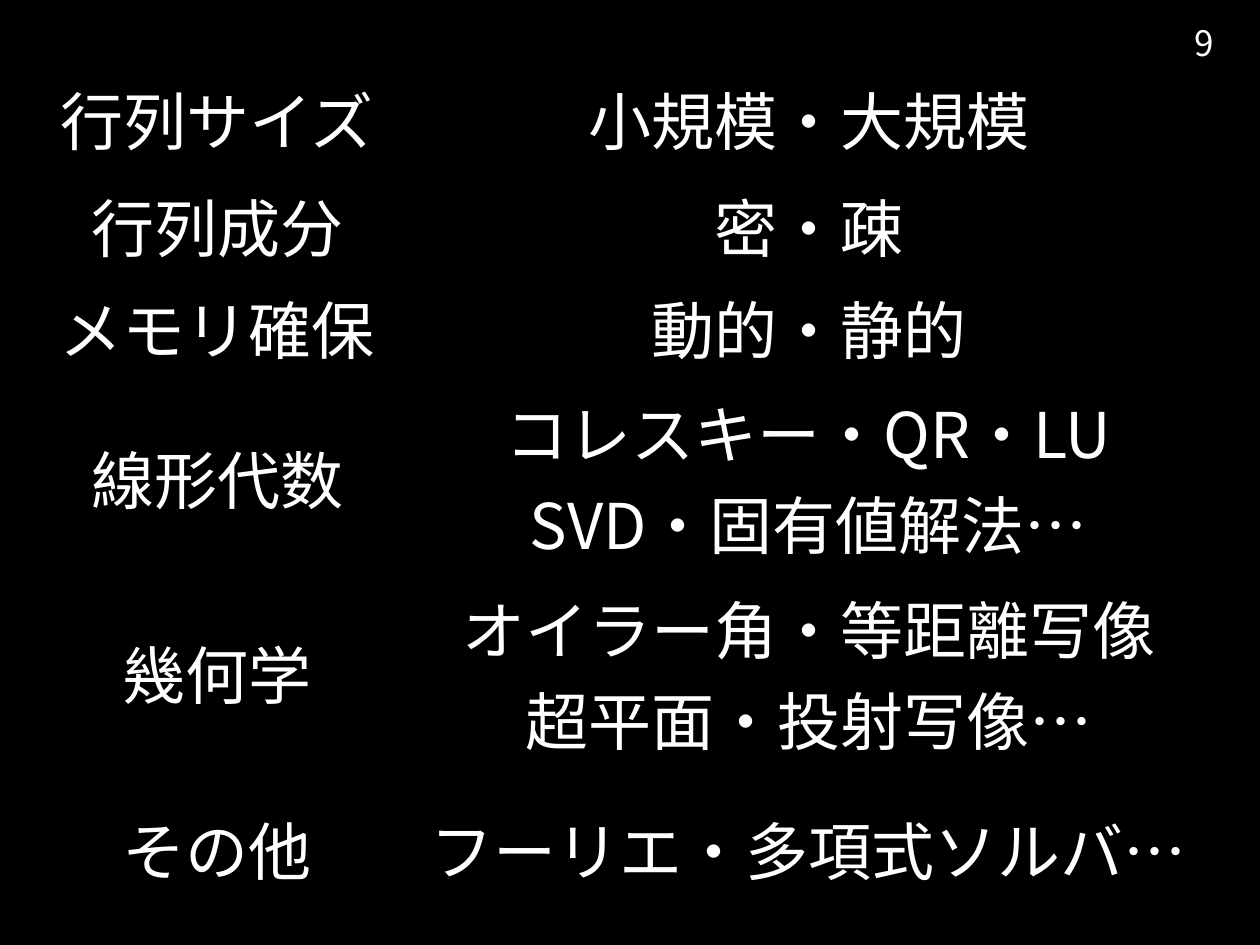
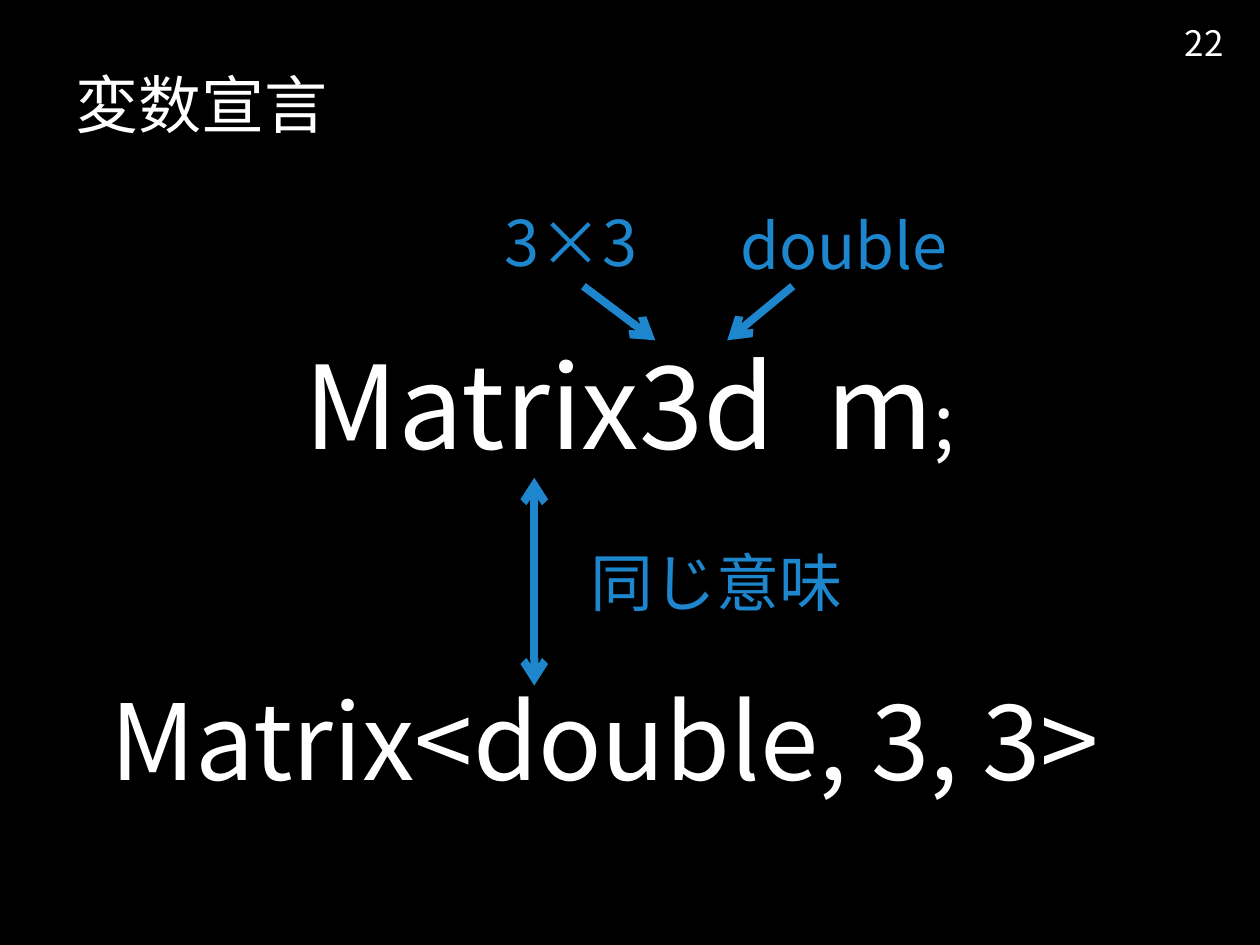
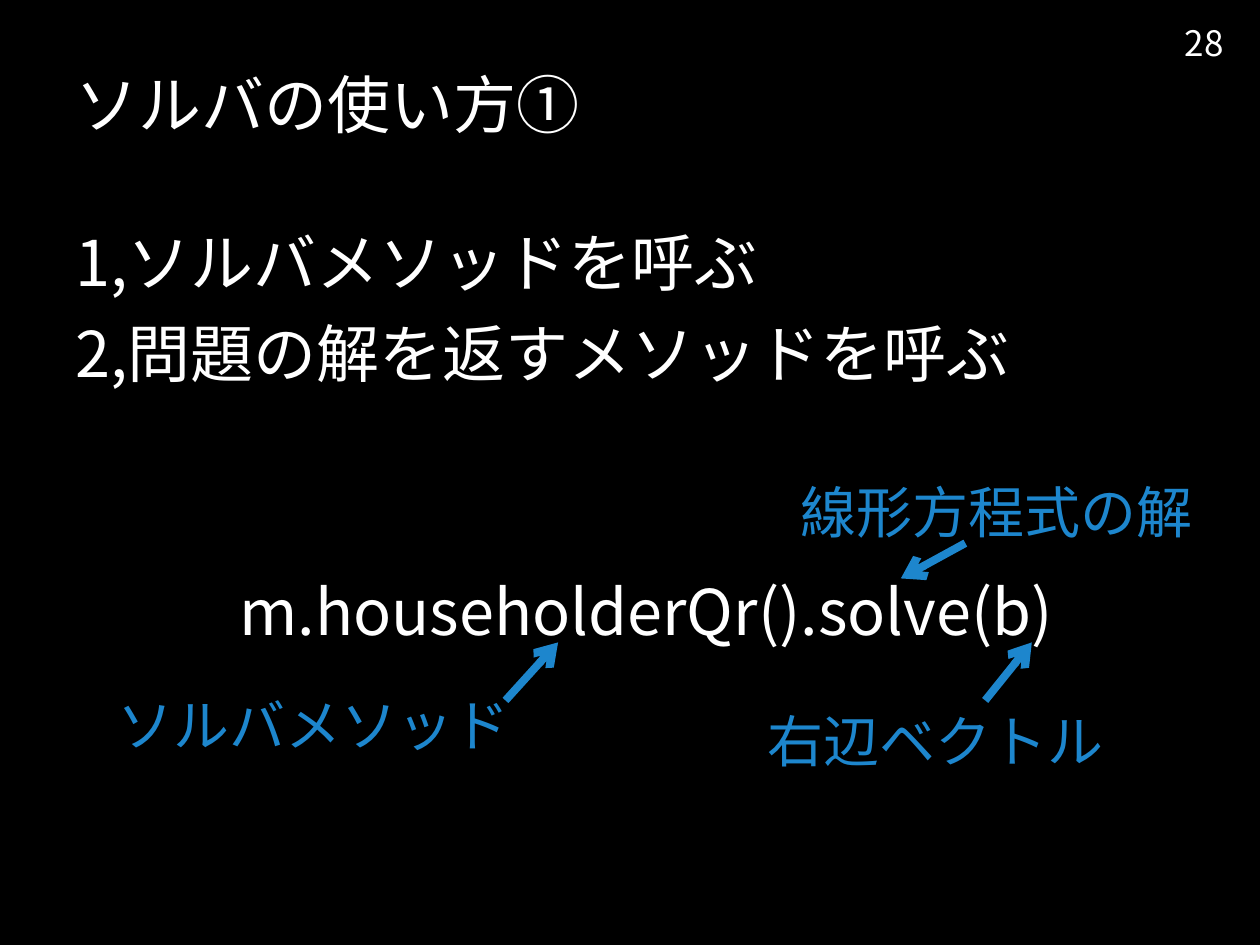
from dataclasses import dataclass

from lxml import etree
from pptx import Presentation
from pptx.dml.color import RGBColor
from pptx.enum.shapes import MSO_CONNECTOR
from pptx.enum.text import MSO_ANCHOR, MSO_AUTO_SIZE, PP_ALIGN
from pptx.oxml.ns import qn
from pptx.util import Cm, Pt

LEFT, CENTER = PP_ALIGN.LEFT, PP_ALIGN.CENTER
TOP, MIDDLE = MSO_ANCHOR.TOP, MSO_ANCHOR.MIDDLE
GROW = MSO_AUTO_SIZE.SHAPE_TO_FIT_TEXT
STRAIGHT = MSO_CONNECTOR.STRAIGHT
TITLE_ONLY, BLANK = 5, 6
NO_TABLE_STYLE = "{2D5ABB26-0587-4C30-8999-92F81FD0307C}"


@dataclass(frozen=True)
class Theme:
    font: str = "Noto Sans CJK JP"
    background: RGBColor = RGBColor(0x00, 0x00, 0x00)
    text: RGBColor = RGBColor(0xFF, 0xFF, 0xFF)
    accent: RGBColor = RGBColor(0x1D, 0x86, 0xCD)
    body: int = 36
    page: int = 20
    note: int = 32
    code: int = 66
    code_end: int = 44
    long_code: int = 60
    arrow: float = 4.5
    line_spacing: float = 1.2


THEME = Theme()

# Content: all lengths in centimetres, boxes as left, top, width, height
PAGE_BOX = (23.33, 0.34, 1.9, 1.02)
TITLE_LEFT, TITLE_TOP, TITLE_HEIGHT = 1.27, 0.27, 3.63
LABEL_HEIGHTS = {THEME.body: 1.8, THEME.note: 1.63}

FEATURES = [
    (2.21, "行列サイズ", ["小規模・大規模"]),
    (2.05, "行列成分", ["密・疎"]),
    (2.11, "メモリ確保", ["動的・静的"]),
    (3.94, "線形代数", ["コレスキー・QR・LU", "SVD・固有値解法…"]),
    (3.94, "幾何学", ["オイラー角・等距離写像", "超平面・投射写像…"]),
    (3.15, "その他", ["フーリエ・多項式ソルバ…"]),
]
FEATURE_COLUMNS = (7.21, 16.64)
FEATURE_ORIGIN = (0.77, 1.27)

# Statements: box, alignment, extra right inset, paragraphs of (text, size)
# Labels: left, top, width, size, text
# Arrows: start, end, whether both ends have a head
DIAGRAMS = [
    {
        "page": "22", "title": "変数宣言", "title_width": 11.56,
        "statements": [
            ((0, 5.89, 25.4, 3.91), CENTER, 0,
             [[("Matrix3d  m", THEME.code), (";", THEME.code_end)]]),
            ((0, 12.68, 25.4, 3.91), CENTER, 1.02,
             [[("Matrix<double, 3, 3>", THEME.long_code)]]),
        ],
        "labels": [
            (9.92, 3.97, 3.3, THEME.body, "3×3"),
            (14.67, 4.04, 5.21, THEME.body, "double"),
            (11.66, 10.83, 6.1, THEME.body, "同じ意味"),
        ],
        "arrows": [
            ((11.76, 5.77), (13.21, 6.86), False),
            ((15.98, 5.77), (14.66, 6.86), False),
            ((10.77, 9.63), (10.77, 13.82), True),
        ],
    },
    {
        "page": "28", "title": "ソルバの使い方①", "title_width": 16.89,
        "statements": [
            ((1.27, 3.63, 23.55, 4.8), LEFT, 0,
             [[("1,ソルバメソッドを呼ぶ", THEME.body)],
              [("2,問題の解を返すメソッドを呼ぶ", THEME.body)]]),
            ((1.25, 10.95, 23.55, 2.41), CENTER, 0,
             [[("m.householderQr().solve(b)", THEME.body)]]),
        ],
        "labels": [
            (2.11, 13.79, 8.46, THEME.note, "ソルバメソッド"),
            (15.88, 9.5, 8.46, THEME.note, "線形方程式の解"),
            (15.22, 14.12, 8.1, THEME.note, "右辺ベクトル"),
        ],
        "arrows": [
            ((10.19, 14.12), (11.25, 12.95), False),
            ((19.46, 10.95), (18.16, 11.66), False),
            ((19.86, 14.12), (20.8, 12.95), False),
        ],
    },
]


# Text helpers
def add_run(paragraph, text, size, color=THEME.text):
    run = paragraph.add_run()
    run.text = text
    font = run.font
    font.size, font.name, font.color.rgb = Pt(size), THEME.font, color
    east_asian = etree.SubElement(font._element, qn("a:ea"))
    east_asian.set("typeface", THEME.font)


def fill_frame(frame, paragraphs, alignment, anchor, color=THEME.text):
    frame.word_wrap = True
    frame.vertical_anchor = anchor
    for index, runs in enumerate(paragraphs):
        paragraph = frame.add_paragraph() if index else frame.paragraphs[0]
        paragraph.alignment = alignment
        for text, size in runs:
            add_run(paragraph, text, size, color)


def add_text(slide, box, paragraphs, alignment, anchor, color=THEME.text):
    frame = slide.shapes.add_textbox(*map(Cm, box)).text_frame
    fill_frame(frame, paragraphs, alignment, anchor, color)
    return frame


# Slide parts
def add_slide(presentation, layout, page):
    slide = presentation.slides.add_slide(presentation.slide_layouts[layout])
    add_text(slide, PAGE_BOX, [[(page, THEME.page)]], CENTER, MIDDLE)
    return slide


def set_title(slide, text, width):
    title = slide.shapes.title
    title.left, title.top = Cm(TITLE_LEFT), Cm(TITLE_TOP)
    title.width, title.height = Cm(width), Cm(TITLE_HEIGHT)
    fill_frame(title.text_frame, [[(text, THEME.body)]], LEFT, MIDDLE)


def add_statement(slide, box, alignment, right_inset, paragraphs):
    frame = add_text(slide, box, paragraphs, alignment, MIDDLE)
    frame.margin_right += Cm(right_inset)
    for paragraph in frame.paragraphs:
        paragraph.line_spacing = THEME.line_spacing


def add_label(slide, left, top, width, size, text):
    box = (left, top, width, LABEL_HEIGHTS[size])
    frame = add_text(slide, box, [[(text, size)]], LEFT, TOP, THEME.accent)
    frame.auto_size = GROW


def add_arrow(slide, start, end, both_ends):
    arrow = slide.shapes.add_connector(STRAIGHT, *map(Cm, start + end))
    arrow.line.color.rgb = THEME.accent
    arrow.line.width = Pt(THEME.arrow)
    line = arrow.line._get_or_add_ln()
    for tag in ("a:headEnd", "a:tailEnd") if both_ends else ("a:tailEnd",):
        etree.SubElement(line, qn(tag)).set("type", "arrow")
    etree.SubElement(arrow._element.spPr, qn("a:effectLst"))


def add_feature_table(slide):
    heights = [height for height, _, _ in FEATURES]
    size = (sum(FEATURE_COLUMNS), sum(heights))
    frame = slide.shapes.add_table(
        len(FEATURES), len(FEATURE_COLUMNS), *map(Cm, FEATURE_ORIGIN + size))
    table = frame.table
    table.first_row = table.horz_banding = False
    table._tbl.tblPr.find(qn("a:tableStyleId")).text = NO_TABLE_STYLE
    for column, width in zip(table.columns, FEATURE_COLUMNS):
        column.width = Cm(width)
    for row, (height, name, details) in zip(table.rows, FEATURES):
        row.height = Cm(height)
        for cell, lines in zip(row.cells, ([name], details)):
            cell.fill.background()
            cell.vertical_anchor = MIDDLE
            paragraph = cell.text_frame.paragraphs[0]
            paragraph.alignment = CENTER
            for index, line in enumerate(lines):
                if index:
                    paragraph.add_line_break()
                add_run(paragraph, line, THEME.body)


# Presentation
presentation = Presentation()
presentation.slide_width, presentation.slide_height = Cm(25.4), Cm(19.05)
background = presentation.slide_master.background.fill
background.solid()
background.fore_color.rgb = THEME.background

# Feature overview
add_feature_table(add_slide(presentation, BLANK, "9"))

# Annotated code slides
for diagram in DIAGRAMS:
    slide = add_slide(presentation, TITLE_ONLY, diagram["page"])
    set_title(slide, diagram["title"], diagram["title_width"])
    for statement in diagram["statements"]:
        add_statement(slide, *statement)
    for arrow in diagram["arrows"]:
        add_arrow(slide, *arrow)
    for label in diagram["labels"]:
        add_label(slide, *label)

presentation.save("out.pptx")
